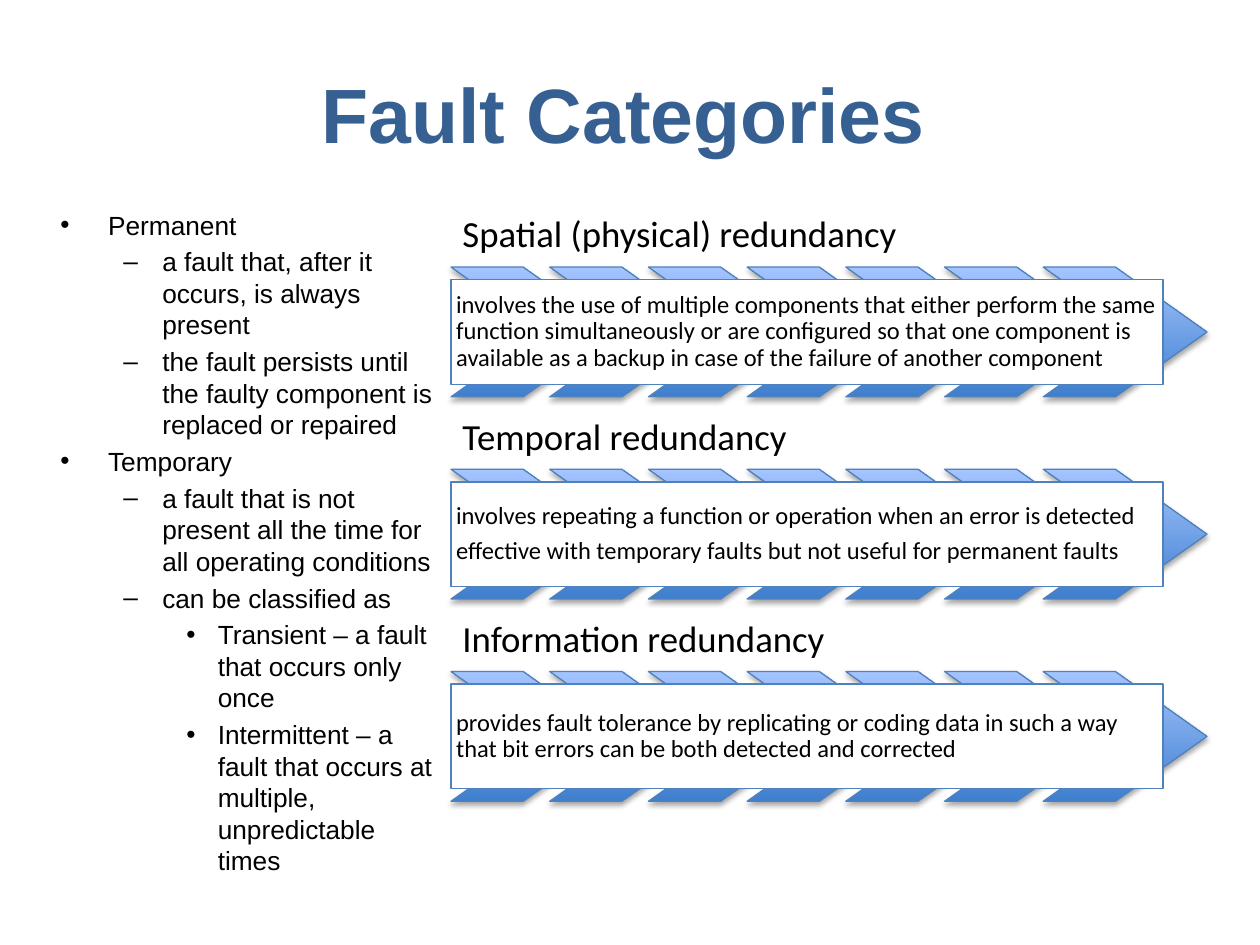
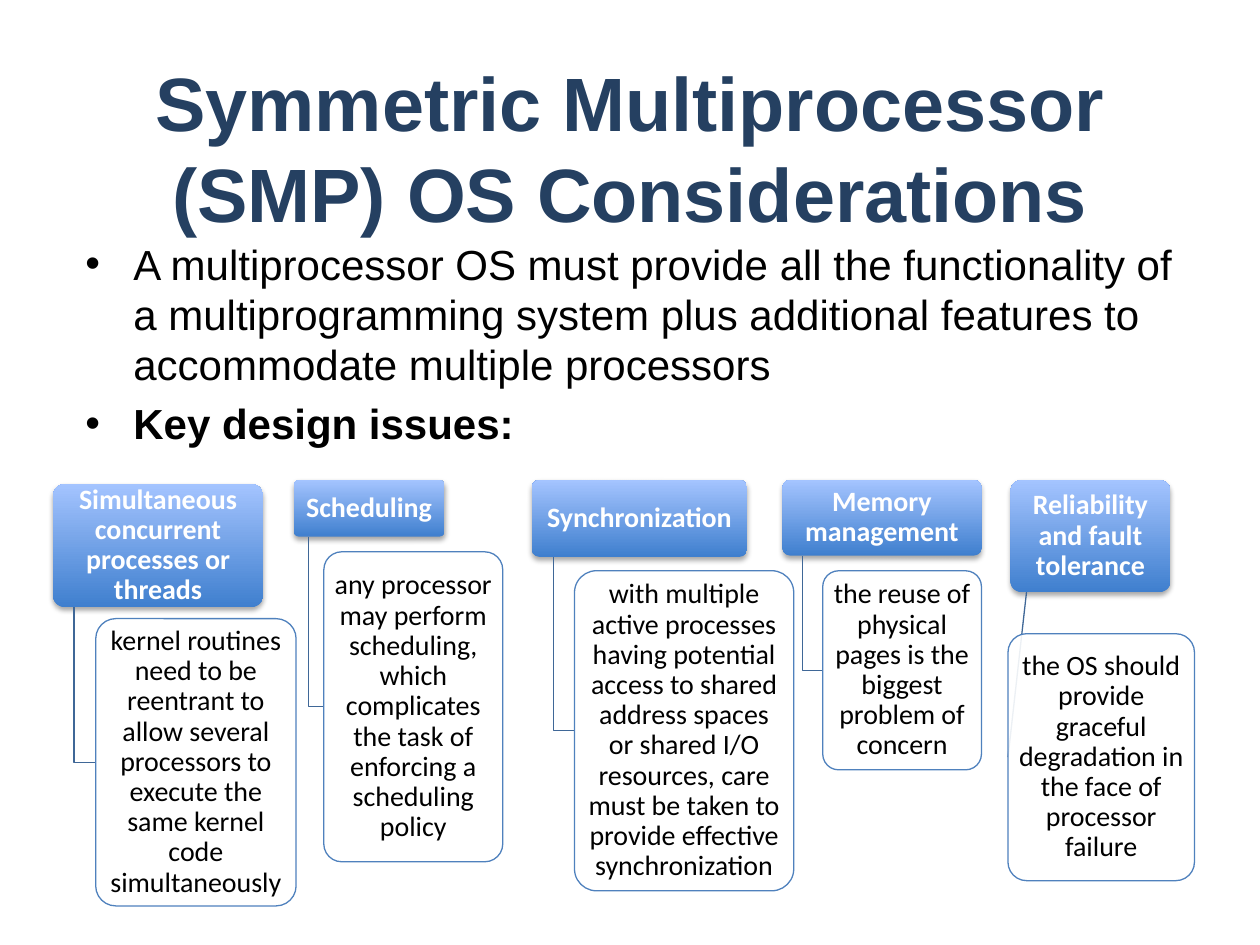
from lxml import etree
from pptx import Presentation
from pptx.dml.color import RGBColor
from pptx.enum.shapes import MSO_CONNECTOR, MSO_SHAPE
from pptx.enum.text import MSO_ANCHOR, PP_ALIGN
from pptx.oxml.ns import qn
from pptx.util import Inches, Pt

TOP, MIDDLE, BOTTOM = MSO_ANCHOR.TOP, MSO_ANCHOR.MIDDLE, MSO_ANCHOR.BOTTOM
LEFT, CENTER = PP_ALIGN.LEFT, PP_ALIGN.CENTER
RECT, ROUND, CHEVRON = MSO_SHAPE.RECTANGLE, MSO_SHAPE.ROUNDED_RECTANGLE, MSO_SHAPE.CHEVRON
STRAIGHT = MSO_CONNECTOR.STRAIGHT

COLORS = {
    "text": "000000", "white": "FFFFFF", "faults": "376092", "smp": "254061",
    "grad_bottom": "3F7FCE", "grad_top": "A4C4FF", "border": "4F81BD", "link": "3F6797",
}
HEAD_FONT, DIAGRAM_FONT = "Arial", "Calibri"

LEVELS = [("•", 0.38, 0.38), ("–", 0.81, 0.31), ("•", 1.25, 0.25)]

FAULTS = [
    (0, "Permanent"),
    (1, "a fault that, after it occurs, is always present"),
    (1, "the fault persists until the faulty component is replaced or repaired"),
    (0, "Temporary"),
    (1, "a fault that is not present all the time for all operating conditions"),
    (1, "can be classified as"),
    (2, "Transient – a fault that occurs only once"),
    (2, "Intermittent – a fault that occurs at multiple, unpredictable times"),
]
REDUNDANCY = [
    ("Spatial (physical) redundancy",
     ["involves the use of multiple components that either perform the same function "
      "simultaneously or are configured so that one component is available as a backup "
      "in case of the failure of another component"]),
    ("Temporal redundancy",
     ["involves repeating a function or operation when an error is detected",
      "effective with temporary faults but not useful for permanent faults"]),
    ("Information redundancy",
     ["provides fault tolerance by replicating or coding data in such a way that bit "
      "errors can be both detected and corrected"]),
]
SMP_POINTS = [
    (0, "A multiprocessor OS must provide all the functionality of a multiprogramming "
        "system plus additional features to accommodate multiple processors"),
    (0, "Key design issues:"),
]
ISSUES = [
    ("Simultaneous concurrent processes or threads", (0.42, 3.84, 1.67, 0.98),
     "kernel routines need to be reentrant to allow several processors to execute the "
     "same kernel code simultaneously", (0.76, 4.91, 1.59, 2.28)),
    ("Scheduling", (2.33, 3.81, 1.2, 0.45),
     "any processor may perform scheduling, which complicates the task of enforcing a "
     "scheduling policy", (2.57, 4.38, 1.42, 2.46)),
    ("Synchronization", (4.22, 3.81, 1.71, 0.61),
     "with multiple active processes having potential access to shared address spaces or "
     "shared I/O resources, care must be taken to provide effective synchronization",
     (4.56, 4.53, 1.74, 2.54)),
    ("Memory management", (6.21, 3.81, 1.58, 0.6),
     "the reuse of physical pages is the biggest problem of concern", (6.53, 4.53, 1.26, 1.58)),
    ("Reliability and fault tolerance", (8.02, 3.81, 1.27, 0.89),
     "the OS should provide graceful degradation in the face of processor failure",
     (8, 5.03, 1.48, 1.96)),
]


def rgb(name):
    return RGBColor.from_string(COLORS[name])


def write(sp, texts, size, font=DIAGRAM_FONT, color="text", bold=False, align=LEFT,
          anchor=MIDDLE, insets=(0.1, 0.05), spacing=None, gap=0):
    tf = sp.text_frame
    tf.word_wrap = True
    tf.vertical_anchor = anchor
    tf.margin_left = tf.margin_right = Inches(insets[0])
    tf.margin_top = tf.margin_bottom = Inches(insets[1])
    for i, text in enumerate(texts):
        p = tf.paragraphs[0] if i == 0 else tf.add_paragraph()
        p.text = text
        p.alignment = align
        if spacing:
            p.line_spacing = spacing
        if i:
            p.space_before = Pt(size * gap)
        p.font.size, p.font.name, p.font.bold = Pt(size), font, bold
        p.font.color.rgb = rgb(color)
    return tf


def add_text(s, box, texts, size, **style):
    return write(s.shapes.add_textbox(*map(Inches, box)), texts, size, **style)


def add_title(s, box, text, size, color):
    add_text(s, box, [text], size, font=HEAD_FONT, color=color, bold=True, align=CENTER)


def add_bullets(s, box, items, size):
    tf = add_text(s, box, [text for _, text in items], size, font=HEAD_FONT, anchor=TOP, gap=0.2)
    for p, (level, _) in zip(tf.paragraphs, items):
        char, margin, hang = LEVELS[level]
        pPr = p._p.get_or_add_pPr()
        pPr.set("marL", str(Inches(margin)))
        pPr.set("indent", str(-Inches(hang)))
        defaults = pPr.find(qn("a:defRPr"))
        defaults.addprevious(etree.Element(qn("a:buFont"), typeface=HEAD_FONT))
        defaults.addprevious(etree.Element(qn("a:buChar"), char=char))
    return tf


def set_line(sp, color):
    sp.line.color.rgb = rgb(color)
    sp.line.width = Pt(0.75)


def add_shape(s, kind, box, border="border", adjust=None):
    sp = s.shapes.add_shape(kind, *map(Inches, box))
    sp.shadow.inherit = False
    if adjust is not None:
        sp.adjustments[0] = adjust
    if border:
        set_line(sp, border)
    else:
        sp.line.fill.background()
    return sp


def add_glossy(s, kind, box, border, adjust):
    sp = add_shape(s, kind, box, border, adjust)
    sp.fill.gradient()
    sp.fill.gradient_angle = 90
    for stop, name in zip(sp.fill.gradient_stops, ("grad_bottom", "grad_top")):
        stop.color.rgb = rgb(name)
    effects = sp._element.spPr.find(qn("a:effectLst"))
    shadow = etree.SubElement(effects, qn("a:outerShdw"), blurRad=str(Pt(3.1)),
                              dist=str(Pt(1.8)), dir="5400000", rotWithShape="0")
    color = etree.SubElement(shadow, qn("a:srgbClr"), val=COLORS["text"])
    etree.SubElement(color, qn("a:alpha"), val="35000")
    return sp


def add_panel(s, kind, box, adjust=None, opacity=100):
    sp = add_shape(s, kind, box, adjust=adjust)
    sp.fill.solid()
    sp.fill.fore_color.rgb = rgb("white")
    if opacity < 100:
        color = sp._element.spPr.find(qn("a:solidFill"))[0]
        etree.SubElement(color, qn("a:alpha"), val=str(opacity * 1000))
    return sp


def add_link(s, head, detail):
    x1, y1 = Inches(head[0] + head[2] / 10), Inches(head[1] + head[3])
    x2, y2 = Inches(detail[0]), Inches(detail[1] + detail[3] / 2)
    if x2 < x1:
        link = s.shapes.add_connector(STRAIGHT, x1, y1, x2, y2)
        etree.SubElement(link._element.spPr, qn("a:effectLst"))
    else:
        path = s.shapes.build_freeform(x1, y1)
        path.add_line_segments([(x1, y2), (x2, y2)], close=False)
        link = path.convert_to_shape()
        link.fill.background()
        link.shadow.inherit = False
    set_line(link, "link")


def build_faults(s):
    add_title(s, (0.67, 0.17, 8.56, 1.45), "Fault Categories", 44, "faults")
    add_bullets(s, (0.38, 1.61, 3.25, 5.4), FAULTS, 15)
    left, first_top, row_step, chevron_step = 3.58, 1.61, 3.21 / 2, 4.7 / 6
    for row, (heading, details) in enumerate(REDUNDANCY):
        top = first_top + row * row_step
        add_text(s, (left, top, 5.58, 0.51), [heading], 21, anchor=BOTTOM,
                 insets=(0.09, 0.09), spacing=0.9)
        for i in range(7):
            add_glossy(s, CHEVRON, (left + i * chevron_step, top + 0.51, 1.3, 1.03),
                       "border", 0.706)
        panel = add_panel(s, RECT, (left, top + 0.61, 5.65, 0.83))
        write(panel, details, 14, insets=(0.04, 0.04), spacing=0.9, gap=0.35)


def build_smp(s):
    add_title(s, (0.5, 0.39, 9, 1.55), "Symmetric Multiprocessor (SMP) OS Considerations",
              43.2, "smp")
    tf = add_bullets(s, (0.58, 1.84, 8.92, 1.9), SMP_POINTS, 24)
    tf.paragraphs[-1].font.bold = True
    style = dict(align=CENTER, insets=(0.03, 0), spacing=0.9)
    for heading, head_box, detail, detail_box in ISSUES:
        head = add_glossy(s, ROUND, head_box, None, 0.1)
        write(head, [heading], 16, color="white", bold=True, **style)
        add_link(s, head_box, detail_box)
        panel = add_panel(s, ROUND, detail_box, 0.1, 90)
        write(panel, [detail], 16, **style)


def main():
    prs = Presentation()
    prs.slide_width, prs.slide_height = Inches(10), Inches(7.5)
    for build in (build_faults, build_smp):
        build(prs.slides.add_slide(prs.slide_layouts[6]))
    prs.save("out.pptx")


if __name__ == "__main__":
    main()
